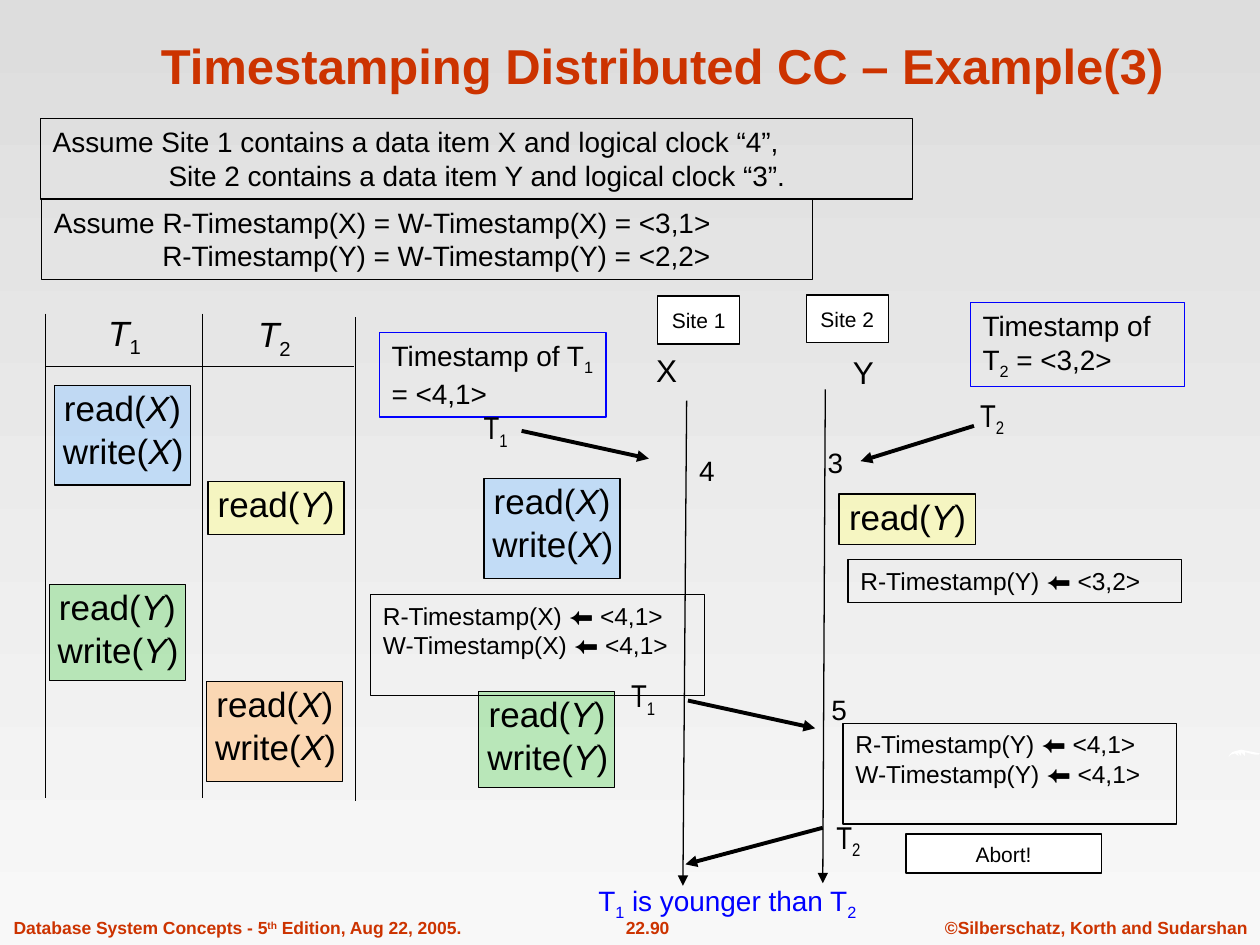
import pptx
import pptx.util
import pptx.dml.color
import pptx.enum.shapes
import pptx.enum.text
import pptx.oxml.ns
import lxml.etree

Inches = pptx.util.Inches
RGBColor = pptx.dml.color.RGBColor
ALIGN = pptx.enum.text.PP_ALIGN
ANCHOR = pptx.enum.text.MSO_ANCHOR
SIZING = pptx.enum.text.MSO_AUTO_SIZE
RECT = pptx.enum.shapes.MSO_SHAPE.RECTANGLE
STRAIGHT = pptx.enum.shapes.MSO_CONNECTOR.STRAIGHT

BLACK = RGBColor(0x00, 0x00, 0x00)
WHITE = RGBColor(0xFF, 0xFF, 0xFF)
RED = RGBColor(0xCC, 0x33, 0x00)
BLUE = RGBColor(0x00, 0x00, 0xFF)
SKY = RGBColor(0x99, 0xCC, 0xFF)
LEMON = RGBColor(0xFF, 0xFF, 0x99)
GREEN = RGBColor(0x33, 0xCC, 0x33)
PEACH = RGBColor(0xFF, 0xCC, 0x99)
TOP = RGBColor(0xDD, 0xDD, 0xDD)
BASE = RGBColor(0xF8, 0xF8, 0xF8)

SHIFT = {"sub": "-25000", "sup": "30000"}
SWOOSH = [(0, 0.06), (0.01, 0.04), (0.03, 0.02), (0.06, 0.01), (0.1, 0),
          (0.15, 0.01), (0.2, 0.02), (0.25, 0.03), (0.24, 0.04),
          (0.21, 0.04), (0.17, 0.03), (0.13, 0.02), (0.13, 0.05),
          (0.1, 0.02), (0.1, 0.05), (0.07, 0.02), (0.08, 0.05),
          (0.05, 0.03), (0.02, 0.04)]


def child(node, tag, **attrs):
    return lxml.etree.SubElement(node, pptx.oxml.ns.qn(tag), **attrs)


def write(shape, paras, size, color=BLACK, font="Arial", bold=False,
          align=ALIGN.LEFT, wrap=True, grow=True, anchor=ANCHOR.TOP, indent=0):
    frame = shape.text_frame
    frame.word_wrap = wrap
    frame.auto_size = SIZING.SHAPE_TO_FIT_TEXT if grow else SIZING.NONE
    frame.vertical_anchor = anchor
    for row, runs in enumerate(paras):
        para = frame.add_paragraph() if row else frame.paragraphs[0]
        para.alignment = align
        if row and indent:
            para._p.get_or_add_pPr().set("marL", str(Inches(indent)))
        for words, style in runs:
            run = para.add_run()
            run.text = words
            run.font.size = pptx.util.Pt(size)
            run.font.name = font
            run.font.bold = bold
            run.font.italic = style == "i"
            run.font.color.rgb = color
            if style in SHIFT:
                run._r.get_or_add_rPr().set("baseline", SHIFT[style])


def label(slide, x, y, w, h, runs, size, **look):
    shape = slide.shapes.add_textbox(Inches(x), Inches(y), Inches(w), Inches(h))
    write(shape, [runs], size, **look)


def panel(slide, x, y, w, h, fill=None, alpha=100, edge=BLACK):
    shape = slide.shapes.add_shape(
        RECT, Inches(x), Inches(y), Inches(w), Inches(h))
    shape.shadow.inherit = False
    shape.line.color.rgb = edge
    shape.line.width = pptx.util.Pt(0.75)
    if fill is None:
        shape.fill.background()
        return shape
    shape.fill.solid()
    shape.fill.fore_color.rgb = fill
    if alpha < 100:
        tint = next(shape._element.spPr.iter(pptx.oxml.ns.qn("a:srgbClr")))
        child(tint, "a:alpha", val=str(alpha * 1000))
    return shape


def line(slide, x, y, dx, dy, width=0.75, arrow=False):
    rule = slide.shapes.add_connector(
        STRAIGHT, Inches(x), Inches(y), Inches(x + dx), Inches(y + dy))
    rule.line.color.rgb = BLACK
    rule.line.width = pptx.util.Pt(width)
    if arrow:
        child(rule.line._get_or_add_ln(), "a:tailEnd", type="triangle")
    child(rule._element.spPr, "a:effectLst")


def steps(slide, x, y, h, fill, alpha, item, verbs=("read", "write")):
    panel(slide, x, y, 1.08, h, fill, alpha)
    for row, verb in enumerate(verbs):
        runs = [(verb + "(", ""), (item, "i"), (")", "")]
        label(slide, x - 0.02 - 0.01 * row, y - 0.04 + 0.34 * row,
              1.13 + 0.1 * row, 0.44, runs, 20, wrap=False)


def plate(slide, x, y, w, h, words):
    write(panel(slide, x, y, w, h, WHITE), [[(words, "")]], 12,
          align=ALIGN.CENTER, wrap=False, grow=False, anchor=ANCHOR.MIDDLE)


def stamp(slide, x, y, w, num, value):
    runs = [("Timestamp of T", ""), (num, "sub"), (" = " + value, "")]
    write(panel(slide, x, y, w, 0.67, edge=BLUE), [runs], 16)


def update(slide, x, y, h, item, value, kinds):
    rows = [[(f"{kind}-Timestamp({item}) ⬅ {value}", "")] for kind in kinds]
    write(panel(slide, x, y, 2.65, h), rows, 14)


def head(slide, x, y):
    label(slide, x, y, 8.83, 0.67,
          [("Timestamping Distributed CC – Example(3)", "")], 28, color=RED,
          bold=True, align=ALIGN.CENTER, grow=False, anchor=ANCHOR.BOTTOM)


def facts(slide, x, y):
    clocks = ["Assume Site 1 contains a data item X and logical clock “4”,",
              "Site 2 contains a data item Y and logical clock “3”."]
    stamps = ["Assume R-Timestamp(X) = W-Timestamp(X) = <3,1>",
              "R-Timestamp(Y) = W-Timestamp(Y) = <2,2>"]
    for row, (rows, w, indent) in enumerate(
            [(clocks, 6.92, 0.92), (stamps, 6.12, 0.86)]):
        write(panel(slide, x + 0.01 * row, y + 0.64 * row, w, 0.64),
              [[(words, "")] for words in rows], 16, indent=indent)


def plan(slide, x, y):
    steps(slide, x + 1.28, y + 2.92, 0.79, PEACH, 70, "X")
    steps(slide, x + 1.29, y + 1.33, 0.42, LEMON, 50, "Y", ("read",))
    steps(slide, x + 0.07, y + 0.57, 0.79, SKY, 50, "X")
    steps(slide, x + 0.03, y + 2.15, 0.76, GREEN, 30, "Y")
    for dx, dy in [(0, 0), (1.25, 0), (2.46, 0.03)]:
        line(slide, x + dx, y + dy, 0, 3.84)
    line(slide, x, y + 0.42, 2.45, 0)
    for dx, dy, num in [(0.4, -0.07, "1"), (1.59, -0.06, "2")]:
        label(slide, x + dx, y + dy, 0.46, 0.48,
              [("T", "i"), (num, "sub")], 20, wrap=False)


def trace(slide, x, y):
    steps(slide, x + 0.86, y + 3.15, 0.76, GREEN, 30, "Y")
    steps(slide, x + 0.9, y + 1.46, 0.79, SKY, 50, "X")
    steps(slide, x + 3.72, y + 1.58, 0.4, LEMON, 50, "Y", ("read",))
    stamp(slide, x + 0.07, y + 0.3, 1.8, "1", "<4,1>")
    stamp(slide, x + 4.76, y + 0.06, 1.7, "2", "<3,2>")
    update(slide, x, y + 2.38, 0.8, "X", "<4,1>", "RW")
    update(slide, x + 3.79, y + 2.1, 0.34, "Y", "<3,2>", "R")
    update(slide, x + 3.75, y + 3.4, 0.8, "Y", "<4,1>", "RW")
    plate(slide, x + 2.28, y + 0.01, 0.65, 0.38, "Site 1")
    plate(slide, x + 3.46, y, 0.65, 0.38, "Site 2")
    plate(slide, x + 4.25, y + 4.28, 1.55, 0.31, "Abort!")
    for dx, dy, item in [(2.17, 0.4, "X"), (3.73, 0.41, "Y")]:
        label(slide, x + dx, y + dy, 0.37, 0.4, [(item, "")], 18, wrap=False)
    for dx, dy, tick in [(2.51, 1.21, "4"), (3.53, 1.15, "3"),
                         (3.56, 3.11, "5")]:
        label(slide, x + dx, y + dy, 0.39, 0.37, [(tick, "")], 16)
    for dx, dy, num in [(0.8, 0.85, "1"), (4.74, 0.75, "2"),
                        (1.97, 2.98, "1"), (3.6, 4.1, "2")]:
        label(slide, x + dx, y + dy, 0.39, 0.44, [("T", ""), (num, "sub")],
              18, font="Arial Narrow", wrap=False)
    line(slide, x + 2.51, y + 0.84, -0.03, 3.85, arrow=True)
    line(slide, x + 3.61, y + 0.75, -0.02, 3.92, arrow=True)
    for dx, dy, run, drop in [(1.2, 1.08, 1.01, 0.22), (4.79, 1.04, -0.9, 0.28),
                              (2.52, 3.22, 1.01, 0.22),
                              (3.59, 4.23, -1.09, 0.29)]:
        line(slide, x + dx, y + dy, run, drop, 2.25, True)
    label(slide, x + 1.71, y + 4.62, 2.63, 0.41,
          [("T", ""), ("1", "sub"), (" is younger than T", ""), ("2", "sub")],
          16, color=BLUE)


def foot(slide, x, y):
    book = [("Database System Concepts - 5", ""), ("th", "sup"),
            (" Edition, Aug 22, 2005.", "")]
    for dx, w, runs, align in [
            (0, 3.79, book, ALIGN.LEFT),
            (4.6, 1.06, [("22.90", "")], ALIGN.CENTER),
            (7.39, 2.6, [("©Silberschatz, Korth and Sudarshan", "")],
             ALIGN.CENTER)]:
        label(slide, x + dx, y, w, 0.27, runs, 10, color=RED, bold=True,
              align=align, wrap=False)


def swoosh(slide, x, y):
    points = [(Inches(x + dx), Inches(y + dy)) for dx, dy in SWOOSH]
    pen = slide.shapes.build_freeform(*points[0])
    pen.add_line_segments(points[1:], close=True)
    shape = pen.convert_to_shape()
    shape.shadow.inherit = False
    shape.fill.solid()
    shape.fill.fore_color.rgb = WHITE
    shape.line.fill.background()


def main():
    deck = pptx.Presentation()
    deck.slide_width = Inches(10)
    deck.slide_height = Inches(7.5)
    slide = deck.slides.add_slide(deck.slide_layouts[6])
    back = slide.background.fill
    back.gradient()
    back.gradient_angle = 270
    for stop, color in zip(back.gradient_stops, (TOP, BASE)):
        stop.color.rgb = color
    foot(slide, 0.01, 7.23)
    swoosh(slide, 9.75, 5.95)
    head(slide, 0.84, 0.13)
    plan(slide, 0.36, 2.49)
    trace(slide, 2.94, 2.34)
    facts(slide, 0.32, 0.94)
    deck.save("out.pptx")


if __name__ == "__main__":
    main()
